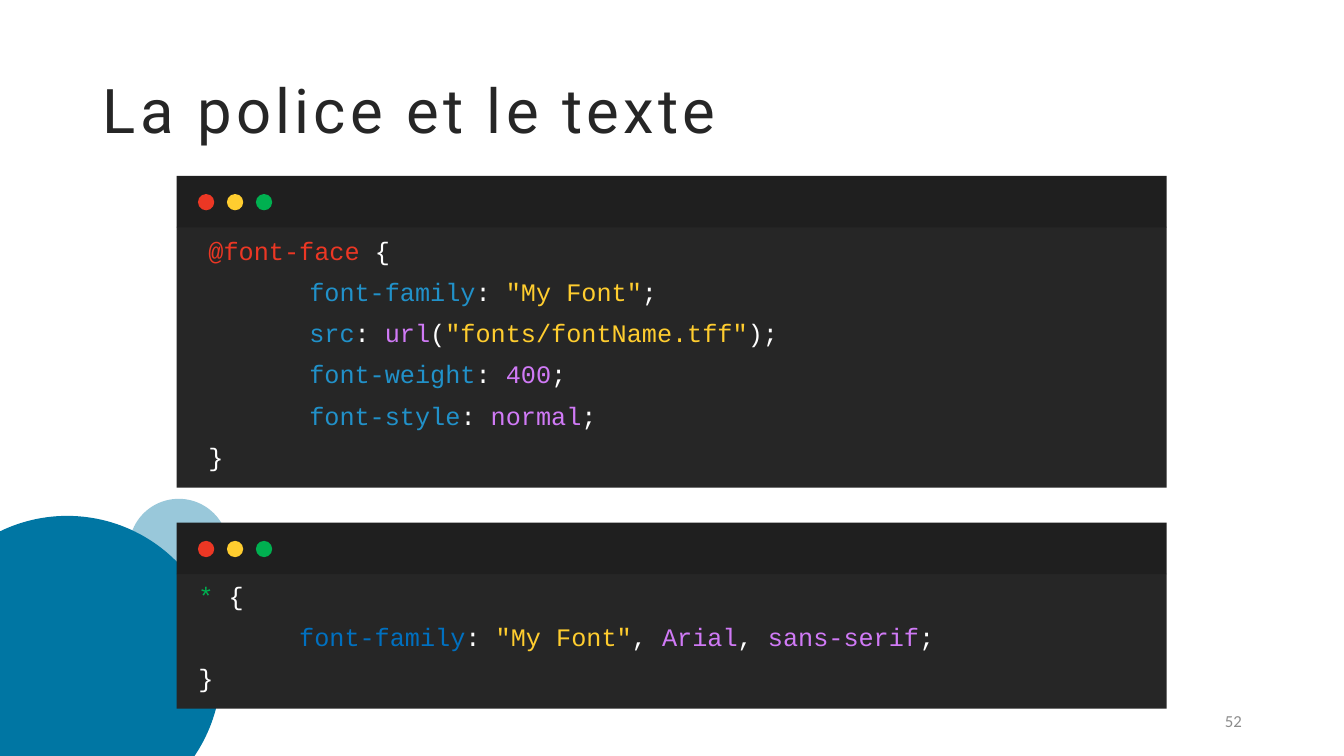
import lxml.etree
import pptx
import pptx.dml.color
import pptx.enum.shapes
import pptx.enum.text
import pptx.oxml.ns
import pptx.util

Cm = pptx.util.Cm
Pt = pptx.util.Pt
SHAPE = pptx.enum.shapes.MSO_SHAPE
ALIGN = pptx.enum.text.PP_ALIGN
ANCHOR = pptx.enum.text.MSO_ANCHOR
qn = pptx.oxml.ns.qn

COLORS = {
    "circle": "0076A3",
    "panel": "262626",
    "bar": "1F1F1F",
    "title": "262626",
    "number": "8C8C8C",
    "red": "EC3724",
    "yellow": "FFCD2F",
    "green": "00B050",
    "property": "2191C9",
    "blue": "0070C0",
    "value": "D07AF6",
    "plain": "FFFFFF",
}

FONT_FACE = [
    (0, [("@font-face ", "red"), ("{", "plain")]),
    (1, [("font-family", "property"), (": ", "plain"), ("\"My Font\"", "yellow"), (";", "plain")]),
    (1, [("src", "property"), (": ", "plain"), ("url", "value"), ("(", "plain"),
         ("\"fonts/fontName.tff\"", "yellow"), (");", "plain")]),
    (1, [("font-weight", "property"), (": ", "plain"), ("400", "value"), (";", "plain")]),
    (1, [("font-style", "property"), (": ", "plain"), ("normal", "value"), (";", "plain")]),
    (0, [("}", "plain")]),
]
ALL_ELEMENTS = [
    (0, [("* ", "green"), ("{", "plain")]),
    (1, [("font-family", "blue"), (": ", "plain"), ("\"My Font\"", "yellow"), (", ", "plain"),
         ("Arial", "value"), (",", "plain"), (" sans-serif", "value"), (";", "plain")]),
    (0, [("}", "plain")]),
]


def rgb(name):
    return pptx.dml.color.RGBColor.from_string(COLORS[name])


def place(sp, left, top, width, height):
    sp.left, sp.top, sp.width, sp.height = Cm(left), Cm(top), Cm(width), Cm(height)


def set_font(font, name, size, color):
    font.name, font.size = name, Pt(size)
    font.color.rgb = rgb(color)


def add_block(shapes, kind, left, top, width, height, color):
    sp = shapes.add_shape(kind, Cm(left), Cm(top), Cm(width), Cm(height))
    sp.shadow.inherit = False
    sp.fill.solid()
    sp.fill.fore_color.rgb = rgb(color)
    sp.line.fill.background()
    return sp


def add_circles(s, left, top):
    add_block(s.shapes, SHAPE.OVAL, left, top, 7.75, 7.75, "circle")
    sp = add_block(s.shapes, SHAPE.OVAL, left + 5.43, top - 0.43, 2.51, 2.51, "circle")
    color = sp.fill._xPr.find(".//" + qn("a:srgbClr"))
    lxml.etree.SubElement(color, qn("a:alpha")).set("val", "40000")


def add_title(s, left, top, width, height):
    sp = s.shapes.title
    place(sp, left, top, width, height)
    tf = sp.text_frame
    tf.text = "La police et le texte"
    tf.auto_size = pptx.enum.text.MSO_AUTO_SIZE.NONE
    tf.vertical_anchor = ANCHOR.MIDDLE
    p = tf.paragraphs[0]
    p.alignment = ALIGN.LEFT
    p.line_spacing = 0.9
    r = p.runs[0]
    set_font(r.font, "Roboto", 44, "title")
    r.font._element.set("spc", "300")


def add_window(s, left, top, width, height):
    bar, dot = 1.29, 0.41
    shapes = s.shapes.add_group_shape().shapes
    add_block(shapes, SHAPE.RECTANGLE, left, top + bar, width, height - bar, "panel")
    add_block(shapes, SHAPE.RECTANGLE, left, top, width, bar + 0.01, "bar")
    for i, color in enumerate(("red", "yellow", "green")):
        add_block(shapes, SHAPE.OVAL, left + 0.54 + i * 0.73, top + 0.46, dot, dot, color)


def write_code(sp, lines, left, top, width, height):
    place(sp, left, top, width, height)
    tf = sp.text_frame
    tf.word_wrap = True
    tf.auto_size = pptx.enum.text.MSO_AUTO_SIZE.NONE
    tf.vertical_anchor = ANCHOR.TOP
    for i, (depth, line) in enumerate(lines):
        p = tf.add_paragraph() if i else tf.paragraphs[0]
        pPr = p._p.get_or_add_pPr()
        pPr.set("marL", str(Cm(2.54) * depth))
        pPr.set("indent", "0")
        lxml.etree.SubElement(pPr, qn("a:buNone"))
        p.line_spacing = 0.9
        p.space_before = Pt(10 if i else 0)
        for text, color in line:
            r = p.add_run()
            r.text = text
            set_font(r.font, "Courier New", 18, color)


def add_number(s, left, top, width, height):
    sp = s.shapes.add_textbox(Cm(left), Cm(top), Cm(width), Cm(height))
    tf = sp.text_frame
    tf.text = "52"
    tf.word_wrap = True
    tf.vertical_anchor = ANCHOR.MIDDLE
    p = tf.paragraphs[0]
    p.alignment = ALIGN.RIGHT
    set_font(p.runs[0].font, "Calibri", 12, "number")


def add_code_slide(prs):
    s = prs.slides.add_slide(prs.slide_layouts[1])
    left, width, first, second = 4.45, 24.95, 4.43, 13.17
    add_circles(s, -2.18, 13)
    add_title(s, 2.34, 1.02, 29.21, 3.68)
    add_window(s, left, first, width, 7.86)
    body = s.placeholders[1]
    s.shapes._spTree.append(body._element)
    write_code(body, FONT_FACE, left + 0.55, first + 1.45, 18.03, 6.48)
    add_number(s, 23.93, 17.65, 7.62, 1.02)
    add_window(s, left, second, width, 4.69)
    sp = s.shapes.add_textbox(0, 0, 0, 0)
    write_code(sp, ALL_ELEMENTS, left + 0.3, second + 1.41, 24.36, 3.53)


def main():
    prs = pptx.Presentation()
    prs.slide_width, prs.slide_height = Cm(33.87), Cm(19.05)
    add_code_slide(prs)
    prs.save("out.pptx")


if __name__ == "__main__":
    main()
